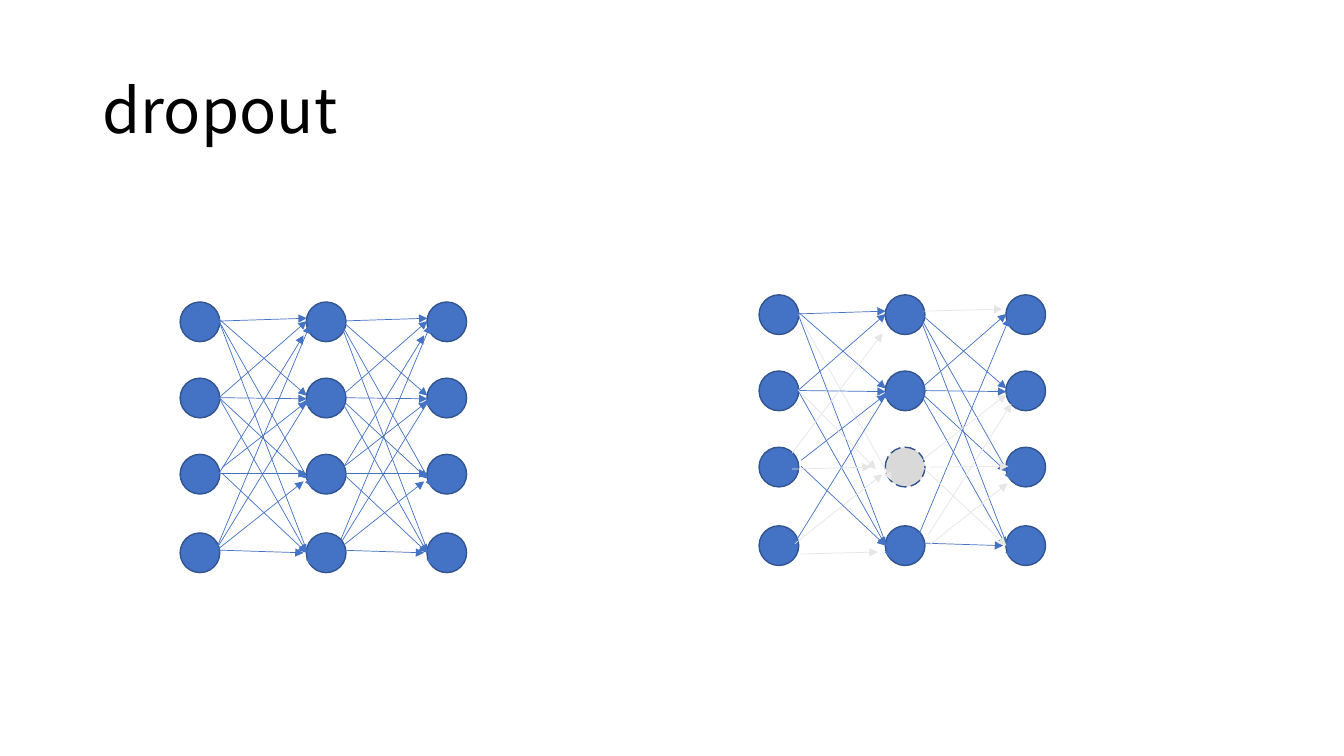
"""Build the dropout slide: a full neural network beside one with a dropped neuron."""
import pptx
import pptx.dml.color
import pptx.enum.dml
import pptx.enum.shapes
import pptx.enum.text
import pptx.oxml
import pptx.oxml.ns
import pptx.util
from pptx.util import Cm

COLORS = {"neuron": "4472C4", "outline": "325491", "dropped": "D9D9D9", "faded": "E7E6E6", "title": "000000"}
DIAMETER = 1.0
COLUMN_LEFTS = (0, 3.18, 6.22)
ROW_TOPS = (0, 1.92, 3.84, 5.82)
GAP_LEFTS = (0.98, 4.02)

# Keys are (source row, target row); values are x1, y1, x2, y2 within a gap.
EDGES = {
    (0, 0): (0, 0.48, 2.21, 0.41),
    (0, 1): (0, 0.43, 2.21, 2.36),
    (0, 2): (0, 0.48, 2.36, 4.67),
    (0, 3): (0, 0.48, 2.36, 6.65),
    (1, 0): (0, 2.41, 2.21, 0.48),
    (1, 3): (0, 2.41, 2.21, 6.32),
    (1, 1): (0, 2.41, 2.21, 2.44),
    (1, 2): (0, 2.41, 2.21, 4.45),
    (3, 3): (-0.08, 6.25, 2.13, 6.32),
    (3, 2): (-0.08, 6.27, 2.13, 4.52),
    (3, 1): (-0.08, 6.25, 2.29, 2.41),
    (3, 0): (-0.08, 6.25, 2.29, 0.58),
    (2, 0): (0, 4.32, 2.13, 0.84),
    (2, 1): (0.08, 4.17, 2.21, 2.51),
    (2, 2): (0, 4.32, 2.21, 4.32),
    (2, 3): (0.08, 4.32, 2.21, 6.32),
}
FULL_GAP = {"removed": (), "faded": (), "extra": ()}
DROPOUT_INPUT = {
    "removed": ((3, 3), (2, 2), (2, 0), (1, 2), (3, 0)),
    "faded": ((0, 2), (3, 2)),
    "extra": (
        (0.05, 6.53, 2.01, 6.48),
        (-0.15, 4.39, 1.83, 4.34),
        (-0.15, 3.99, 2.13, 0.97),
        (0, 2.39, 1.96, 4.39),
    ),
}
DROPOUT_OUTPUT = {
    "removed": ((0, 0), (2, 2), (3, 2), (3, 1), (2, 0)),
    "faded": ((2, 1), (2, 3)),
    "extra": (
        (0.13, 0.41, 2.11, 0.36),
        (0.28, 4.34, 2.26, 4.32),
        (0.28, 6.3, 2.24, 4.75),
        (0.23, 6.07, 2.34, 2.74),
    ),
}
NETWORKS = (
    {"left": 4.54, "top": 7.61, "dropped": None, "gaps": (FULL_GAP, FULL_GAP)},
    {"left": 19.13, "top": 7.43, "dropped": (1, 2), "gaps": (DROPOUT_INPUT, DROPOUT_OUTPUT)},
)


def rgb(name):
    return pptx.dml.color.RGBColor.from_string(COLORS[name])


def add_arrow(slide, left, top, edge, color):
    x1, y1, x2, y2 = edge
    arrow = slide.shapes.add_connector(
        pptx.enum.shapes.MSO_CONNECTOR.STRAIGHT,
        Cm(left + x1), Cm(top + y1), Cm(left + x2), Cm(top + y2),
    )
    arrow.line.color.rgb = rgb(color)
    arrow.line.width = pptx.util.Pt(0.5)
    properties = arrow.line._get_or_add_ln()
    head = pptx.oxml.parse_xml(f'<a:tailEnd {pptx.oxml.ns.nsdecls("a")} type="triangle"/>')
    properties.append(head)
    effects = pptx.oxml.parse_xml(f'<a:effectLst {pptx.oxml.ns.nsdecls("a")}/>')
    properties.addnext(effects)


presentation = pptx.Presentation()
presentation.slide_width = Cm(33.87)
presentation.slide_height = Cm(19.05)
slide = presentation.slides.add_slide(presentation.slide_layouts[5])

title = slide.shapes.title
title_box = {"left": Cm(2.33), "top": Cm(1.01), "width": Cm(29.21), "height": Cm(3.68)}
for attribute, value in title_box.items():
    setattr(title, attribute, value)
title.text_frame.text = "dropout"
title.text_frame.vertical_anchor = pptx.enum.text.MSO_ANCHOR.MIDDLE
paragraph = title.text_frame.paragraphs[0]
paragraph.alignment = pptx.enum.text.PP_ALIGN.LEFT
paragraph.line_spacing = 0.9
title_font = {"name": "Noto Sans CJK JP", "size": pptx.util.Pt(44)}
for attribute, value in title_font.items():
    setattr(paragraph.runs[0].font, attribute, value)
paragraph.runs[0].font.color.rgb = rgb("title")

for network in NETWORKS:
    for column, column_left in enumerate(COLUMN_LEFTS):
        for row, row_top in enumerate(ROW_TOPS):
            neuron = slide.shapes.add_shape(
                pptx.enum.shapes.MSO_SHAPE.OVAL,
                Cm(network["left"] + column_left), Cm(network["top"] + row_top),
                Cm(DIAMETER), Cm(DIAMETER),
            )
            is_dropped = (column, row) == network["dropped"]
            neuron.shadow.inherit = False
            neuron.fill.solid()
            neuron.fill.fore_color.rgb = rgb("dropped" if is_dropped else "neuron")
            neuron.line.color.rgb = rgb("outline")
            neuron.line.width = pptx.util.Pt(1)
            if is_dropped:
                neuron.line.dash_style = pptx.enum.dml.MSO_LINE.LONG_DASH

    for gap_left, gap in zip(GAP_LEFTS, network["gaps"]):
        left = network["left"] + gap_left
        for rows, edge in EDGES.items():
            if rows not in gap["removed"]:
                color = "faded" if rows in gap["faded"] else "neuron"
                add_arrow(slide, left, network["top"], edge, color)
        for edge in gap["extra"]:
            add_arrow(slide, left, network["top"], edge, "faded")

presentation.save("out.pptx")
